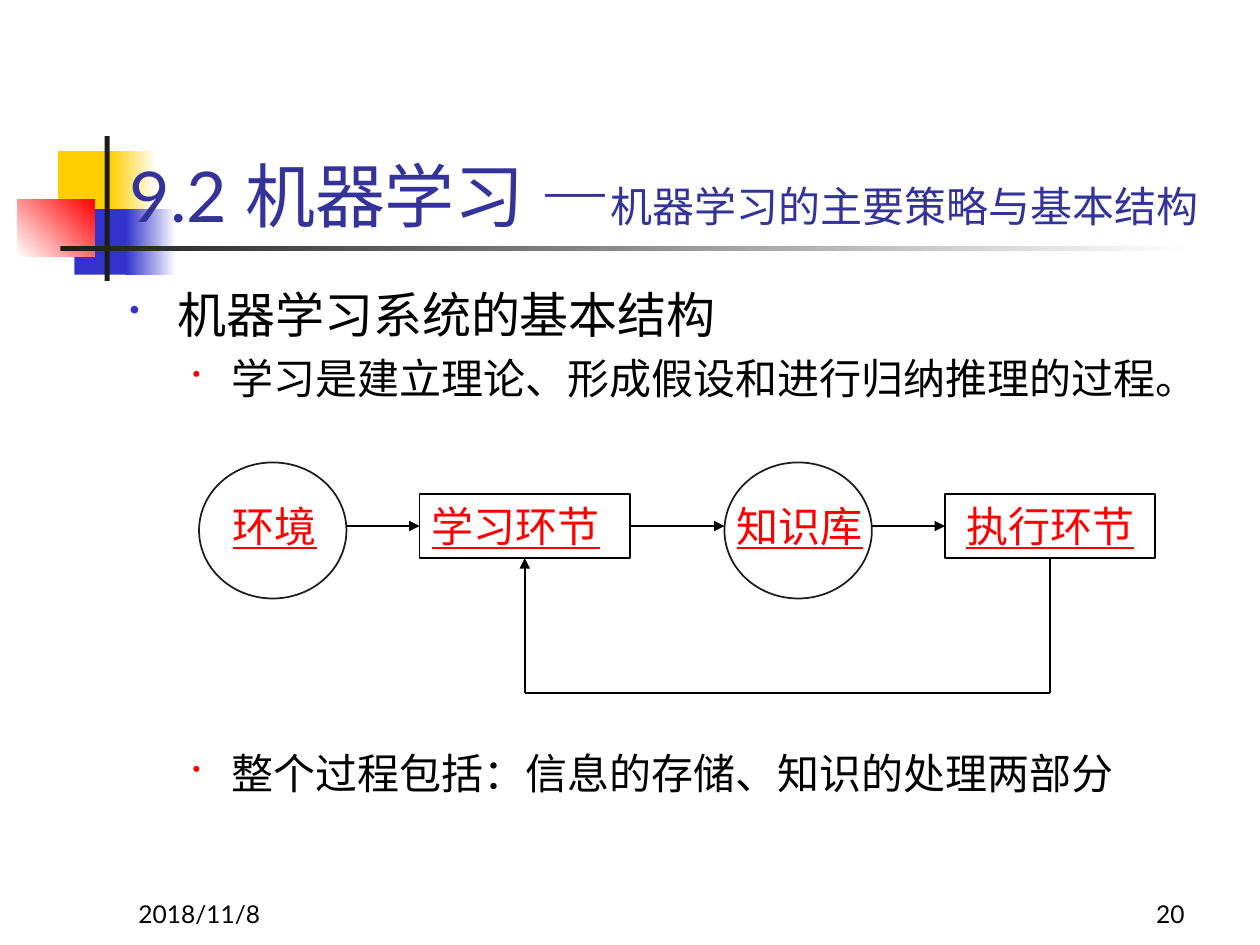
from pptx import Presentation
from pptx.dml.color import RGBColor
from pptx.enum.shapes import MSO_CONNECTOR, MSO_SHAPE
from pptx.enum.text import MSO_ANCHOR, PP_ALIGN
from pptx.oxml.ns import qn
from pptx.util import Inches, Pt
from lxml.etree import SubElement

# Content
TITLE = [("9.2 机器学习 —", 40), ("机器学习的主要策略与基本结构", 24)]
# text, level, space before (pt)
OUTLINE = [
    ("机器学习系统的基本结构", 0, 0),
    ("学习是建立理论、形成假设和进行归纳推理的过程。", 1, 5),
    ("整个过程包括：信息的存储、知识的处理两部分", 1, 197),
]
# label, kind, left edge, left edge of the label's box
STAGES = [
    ("环境", "circle", 1.58, 1.75),
    ("学习环节", "box", 3.33, 3.33),
    ("知识库", "circle", 5.75, 5.75),
    ("执行环节", "box", 7.5, 7.57),
]
FOOTER = [("2018/11/8", 1, PP_ALIGN.LEFT), ("20", 7.42, PP_ALIGN.RIGHT)]

THEME = {
    "yellow": "FFCF01", "blue": "3333CC", "red": "FF0000", "dark": "1C1C1C",
    "white": "FFFFFF", "black": "000000", "title": "333399",
    "latin": "Lato", "cjk": "Noto Sans CJK JP", "serif": "Times New Roman",
    "label_size": 24, "footer_size": 14, "line": 1,
}
# Per outline level: font, size, left margin, hanging indent, bullet colour, bullet percent
LEVELS = [
    ("serif", 28, 0.38, 0.38, "blue", 60),
    ("cjk", 24, 0.81, 0.31, "red", 55),
]
# left, top, width, height, colours, gradient angle
DECOR = [
    (0.46, 1.2, 0.48, 0.52, ["yellow"], 0),
    (0.88, 1.2, 0.36, 0.52, ["yellow", "white"], 0),
    (0.59, 1.66, 0.46, 0.52, ["blue"], 0),
    (1, 1.66, 0.4, 0.52, ["blue", "white"], 0),
    (0.14, 1.58, 0.61, 0.46, ["white", "red"], 45),
    (0.83, 1.08, 0.04, 1.15, ["dark"], 0),
    (0.48, 1.95, 9, 0.04, ["dark", "white"], 0),
]

# Flow chart rows
BOX_TOP, BOX_HEIGHT, LABEL_HEIGHT = 3.92, 0.51, 0.5
FLOW_Y, FEEDBACK_Y = BOX_TOP + BOX_HEIGHT / 2, 5.5
KINDS = {
    "circle": (MSO_SHAPE.OVAL, 3.67, 1.17, 1.08, "dark"),
    "box": (MSO_SHAPE.RECTANGLE, BOX_TOP, 1.67, BOX_HEIGHT, "black"),
}

prs = Presentation()
prs.slide_width, prs.slide_height = Inches(10), Inches(7.5)
slide = prs.slides.add_slide(prs.slide_layouts[6])
shapes = slide.shapes


def color(name):
    return RGBColor.from_string(THEME[name])


def add_block(preset, *box):
    block = shapes.add_shape(preset, *map(Inches, box))
    block.shadow.inherit = False
    return block


def add_text(box, anchor=MSO_ANCHOR.TOP):
    frame = shapes.add_textbox(*map(Inches, box)).text_frame
    frame.word_wrap = True
    frame.vertical_anchor = anchor
    return frame


def style(font, face, size, tint):
    font.name, font.size = THEME[face], Pt(size)
    font.color.rgb = color(tint)


def add_line(start, end, arrow=False):
    line = shapes.add_connector(MSO_CONNECTOR.STRAIGHT, *map(Inches, start + end))
    line.line.color.rgb = color("black")
    line.line.width = Pt(THEME["line"])
    if arrow:
        SubElement(line.line._get_or_add_ln(), qn("a:tailEnd"), type="triangle")
    SubElement(line._element.spPr, qn("a:effectLst"))
    return line


# Corner decoration
for *box, tints, angle in DECOR:
    block = add_block(MSO_SHAPE.RECTANGLE, *box)
    block.line.fill.background()
    if len(tints) == 1:
        block.fill.solid()
        block.fill.fore_color.rgb = color(tints[0])
    else:
        block.fill.gradient()
        block.fill.gradient_angle = angle
        for stop, tint, position in zip(block.fill.gradient_stops, tints, (0, 1)):
            stop.color.rgb, stop.position = color(tint), position

# Footer
for text, left, align in FOOTER:
    paragraph = add_text((left, 6.92, 2.08, 0.5), MSO_ANCHOR.BOTTOM).paragraphs[0]
    paragraph.text, paragraph.alignment = text, align
    style(paragraph.runs[0].font, "latin", THEME["footer_size"], "black")

# Title
heading = add_text((0.93, 0.68, 8.85, 1.25), MSO_ANCHOR.BOTTOM).paragraphs[0]
for text, size in TITLE:
    run = heading.add_run()
    run.text = text
    style(run.font, "latin", size, "title")

# Outline
outline = add_text((0.93, 2.21, 8.49, 4.5))
for index, (text, level, before) in enumerate(OUTLINE):
    paragraph = outline.add_paragraph() if index else outline.paragraphs[0]
    face, size, margin, hang, bullet, percent = LEVELS[level]
    paragraph.text, paragraph.level = text, level
    paragraph.space_before = Pt(before)
    props = paragraph._p.get_or_add_pPr()
    props.set("marL", str(Inches(margin)))
    props.set("indent", str(-Inches(hang)))
    SubElement(SubElement(props, qn("a:buClr")), qn("a:srgbClr"), val=THEME[bullet])
    SubElement(props, qn("a:buSzPct"), val=str(percent * 1000))
    SubElement(props, qn("a:buChar"), char="•")
    style(paragraph.runs[0].font, face, size, "black")

# Stages: boxes hold their label, circles have it in a text box on top
stages = []
for label, kind, left, label_left in STAGES:
    preset, top, width, height, outline_tint = KINDS[kind]
    stage = add_block(preset, left, top, width, height)
    stage.fill.background()
    stage.line.color.rgb = color(outline_tint)
    stage.line.width = Pt(THEME["line"])
    if kind == "box":
        frame, face = stage.text_frame, "cjk"
        frame.vertical_anchor = MSO_ANCHOR.TOP
        frame.margin_left = Inches(0.1 + label_left - left)
    else:
        frame, face = add_text((label_left, BOX_TOP, 1.25, LABEL_HEIGHT)), "latin"
    frame.text = label
    frame.paragraphs[0].alignment = PP_ALIGN.LEFT
    style(frame.paragraphs[0].runs[0].font, face, THEME["label_size"], "red")
    frame.paragraphs[0].runs[0].font.underline = True
    stages.append((stage, kind, left, left + width))

# Arrows from each stage to the next
for (source, source_kind, _, right), (target, target_kind, left, _) in zip(stages, stages[1:]):
    arrow = add_line((right, FLOW_Y), (left, FLOW_Y), arrow=True)
    if source_kind == "box":
        arrow.begin_connect(source, 3)
    if target_kind == "box":
        arrow.end_connect(target, 1)

# Feedback from execution to learning
(learning, _, *learning_sides), (execution, _, *execution_sides) = stages[1], stages[3]
learning_x, execution_x = sum(learning_sides) / 2, sum(execution_sides) / 2
add_line((execution_x, FLOW_Y), (execution_x, FEEDBACK_Y)).begin_connect(execution, 2)
add_line((execution_x, FEEDBACK_Y), (learning_x, FEEDBACK_Y))
add_line((learning_x, FEEDBACK_Y), (learning_x, FLOW_Y), arrow=True).end_connect(learning, 2)

prs.save("out.pptx")
